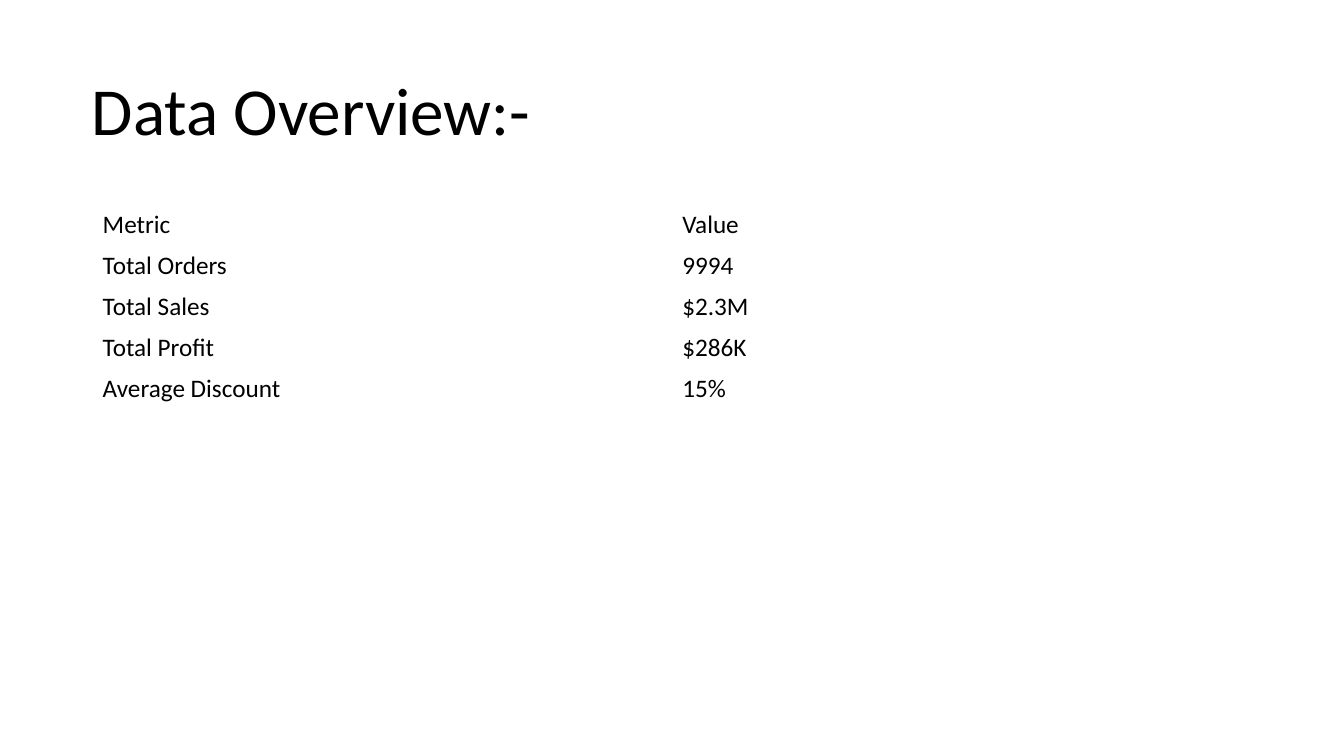
from pptx import Presentation
from pptx.dml.color import RGBColor
from pptx.enum.text import MSO_ANCHOR, PP_ALIGN
from pptx.util import Pt

LEFT = PP_ALIGN.LEFT
MIDDLE = MSO_ANCHOR.MIDDLE
TITLE_ONLY = 5

FONT = "Calibri"
BLACK = "000000"
ROW_HEIGHT = 29

METRICS = [
    ("Metric", "Value"),
    ("Total Orders", "9994"),
    ("Total Sales", "$2.3M"),
    ("Total Profit", "$286K"),
    ("Average Discount", "15%"),
]


def color(hex_string):
    return RGBColor.from_string(hex_string)


def format_paragraph(paragraph, size):
    paragraph.alignment = LEFT
    paragraph.font.name = FONT
    paragraph.font.size = Pt(size)
    paragraph.font.bold = False
    paragraph.font.color.rgb = color(BLACK)


def place_title(slide, text, left, top, width, height):
    title = slide.shapes.title
    title.left, title.top = Pt(left), Pt(top)
    title.width, title.height = Pt(width), Pt(height)
    title.text_frame.text = text
    title.text_frame.vertical_anchor = MIDDLE
    paragraph = title.text_frame.paragraphs[0]
    paragraph.line_spacing = 0.9
    format_paragraph(paragraph, 48)


def add_metrics_table(slide, rows, left, top, width):
    columns = len(rows[0])
    frame = slide.shapes.add_table(
        len(rows), columns, Pt(left), Pt(top), Pt(width), Pt(ROW_HEIGHT * len(rows))
    )
    table = frame.table
    table.first_row = False
    table.horz_banding = False

    # Plain, unfilled cells
    for row_index, values in enumerate(rows):
        for column_index, value in enumerate(values):
            cell = table.cell(row_index, column_index)
            cell.text = value
            cell.fill.background()
            cell.vertical_anchor = MIDDLE
            format_paragraph(cell.text_frame.paragraphs[0], 18)


def main():
    presentation = Presentation()
    presentation.slide_width, presentation.slide_height = Pt(960), Pt(540)
    slide = presentation.slides.add_slide(presentation.slide_layouts[TITLE_ONLY])

    # Heading
    place_title(slide, "Data Overview:-", 58.3, 28.8, 835.2, 104.4)

    # Key figures
    add_metrics_table(slide, METRICS, 66.2, 146.2, 828)

    presentation.save("out.pptx")


if __name__ == "__main__":
    main()
